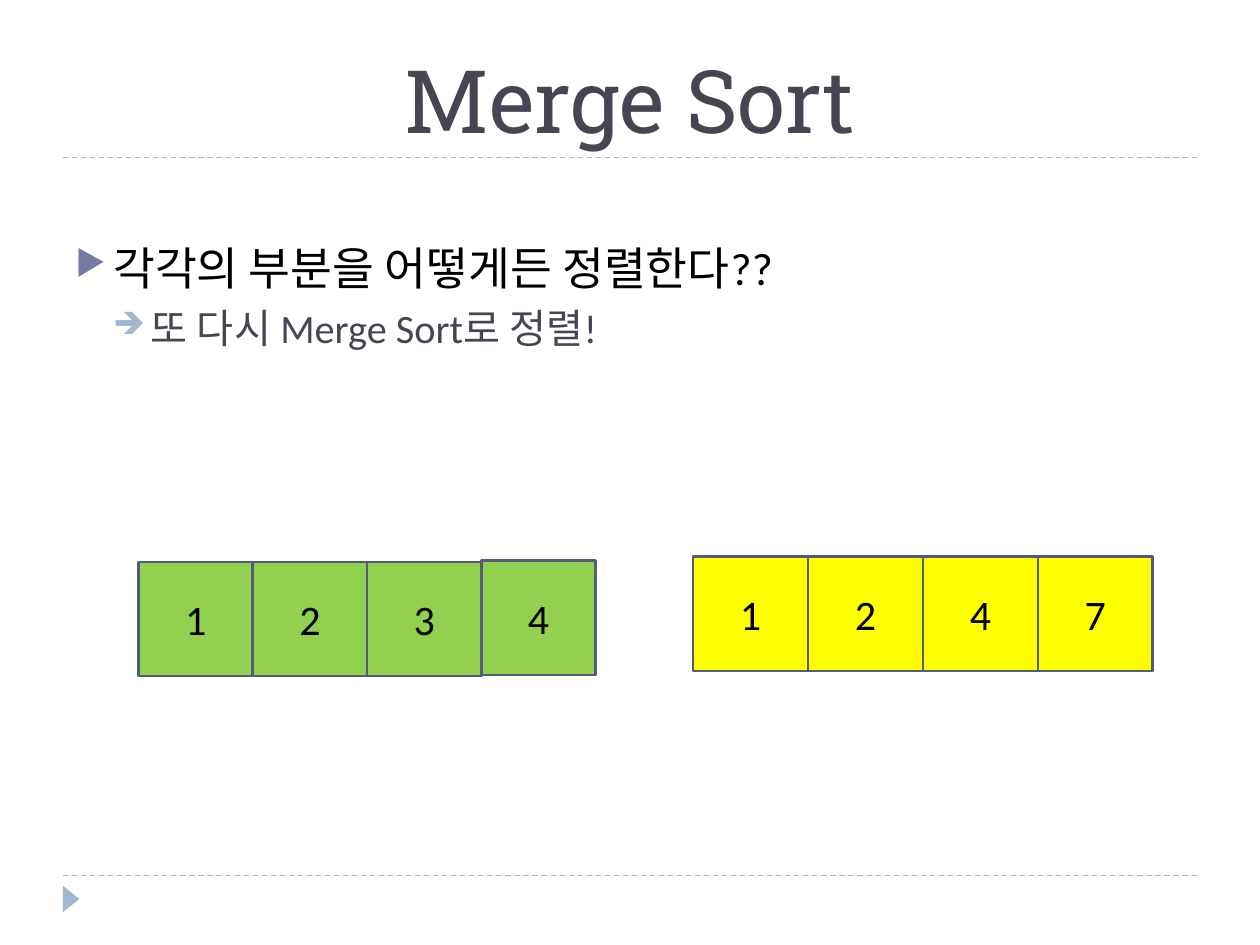
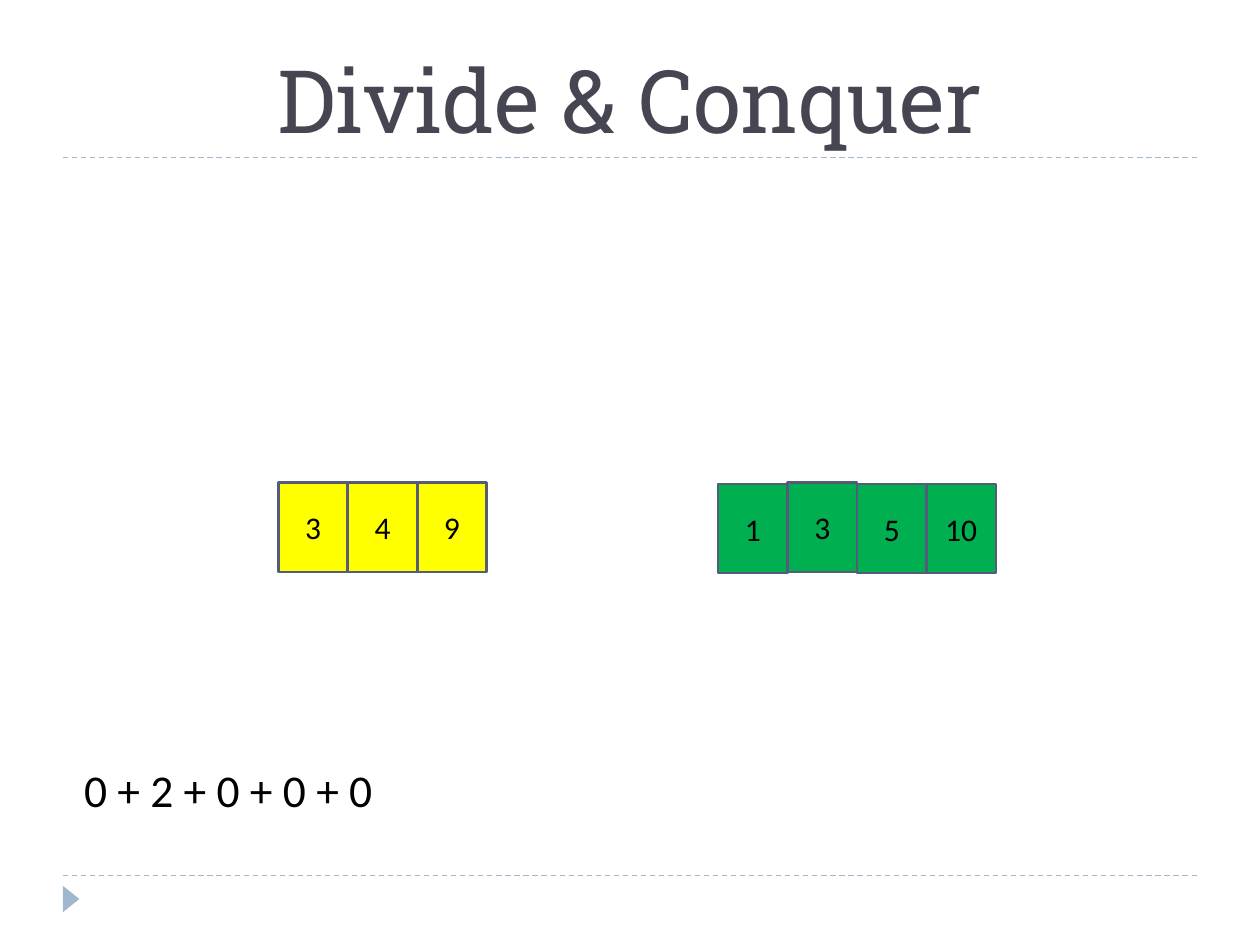
from lxml import etree
from pptx import Presentation
from pptx.dml.color import RGBColor
from pptx.enum.dml import MSO_LINE_DASH_STYLE as DASH
from pptx.enum.shapes import MSO_CONNECTOR as CONNECTOR, MSO_SHAPE as SHAPE
from pptx.enum.text import MSO_ANCHOR as ANCHOR, PP_ALIGN as ALIGN
from pptx.oxml.ns import qn
from pptx.util import Pt

COLORS = {
    "title": "464653", "text": "000000", "rule": "9FB8CD", "bullet": "727CA3",
    "outline": "545C79", "lime": "92D050", "yellow": "FFFF00", "green": "00B050",
}
TITLE_FONT, BODY_FONT = "Roboto Slab", "Calibri"
MARGIN, CONTENT_WIDTH = 36, 648
RULE_TOPS = (90, 500.4)


def rgb(name):
    return RGBColor.from_string(COLORS[name])


class Deck:
    def __init__(self):
        self.prs = Presentation()
        self.prs.slide_width, self.prs.slide_height = Pt(720), Pt(540)
        self.s = None

    def slide(self, title):
        self.s = self.prs.slides.add_slide(self.prs.slide_layouts[5])
        for top in RULE_TOPS:
            self.rule(top)
        self.corner_marker()
        sp = self.s.shapes.title
        sp.left, sp.top = Pt(MARGIN), Pt(12.2)
        sp.width, sp.height = Pt(CONTENT_WIDTH), Pt(77.8)
        tf = sp.text_frame
        tf.text = title
        tf.vertical_anchor = ANCHOR.BOTTOM
        self.style(tf.paragraphs[0], 50, "title", TITLE_FONT, ALIGN.CENTER)

    def style(self, p, size, color="text", font=BODY_FONT, align=ALIGN.LEFT):
        p.alignment = align
        for r in p.runs:
            r.font.name, r.font.size = font, Pt(size)
            r.font.color.rgb = rgb(color)

    def rule(self, top):
        line = self.s.shapes.add_connector(
            CONNECTOR.STRAIGHT, Pt(MARGIN), Pt(top), Pt(MARGIN + CONTENT_WIDTH), Pt(top))
        line.line.color.rgb = rgb("rule")
        line.line.width = Pt(0.75)
        line.line.dash_style = DASH.DASH
        etree.SubElement(line._element.spPr, qn("a:effectLst"))

    def shape(self, kind, left, top, width, height, fill):
        sp = self.s.shapes.add_shape(kind, Pt(left), Pt(top), Pt(width), Pt(height))
        sp.shadow.inherit = False
        sp.fill.solid()
        sp.fill.fore_color.rgb = rgb(fill)
        return sp

    def corner_marker(self):
        sp = self.shape(SHAPE.ISOSCELES_TRIANGLE, 33.1, 509, 15.1, 9.4, "rule")
        sp.rotation = 90
        sp.line.fill.background()

    def array(self, values, left, top, pitch, height, fill, size, raised=None):
        """Draw a row of touching cells; the cell at index raised sits slightly higher."""
        for i, value in enumerate(values):
            cell_top = top - 0.7 if i == raised else top
            sp = self.shape(SHAPE.RECTANGLE, left + i * pitch, cell_top, pitch, height, fill)
            sp.line.color.rgb = rgb("outline")
            sp.line.width = Pt(1.5)
            tf = sp.text_frame
            tf.text = str(value)
            tf.vertical_anchor = ANCHOR.MIDDLE
            self.style(tf.paragraphs[0], size, align=ALIGN.CENTER)

    def text(self, content, left, top, width, height, size):
        tf = self.s.shapes.add_textbox(Pt(left), Pt(top), Pt(width), Pt(height)).text_frame
        tf.word_wrap = True
        tf.text = content
        self.style(tf.paragraphs[0], size)
        return tf

    def bullet(self, p, char, color, indent):
        pPr = p._p.get_or_add_pPr()
        pPr.set("marL", str(Pt(indent)))
        pPr.set("indent", str(-Pt(21.6)))
        clr = etree.SubElement(pPr, qn("a:buClr"))
        etree.SubElement(clr, qn("a:srgbClr"), val=COLORS[color])
        etree.SubElement(pPr, qn("a:buSzPct"), val="76000")
        etree.SubElement(pPr, qn("a:buChar"), char=char)

    def point(self, content, detail, top):
        """Write a bulleted statement with one indented detail below it."""
        tf = self.text(content, MARGIN, top, CONTENT_WIDTH, 76, 26)
        self.bullet(tf.paragraphs[0], "▶", "bullet", 21.6)
        p = tf.add_paragraph()
        p.text = detail
        p.level = 1
        p.space_before = Pt(5)
        self.bullet(p, "➔", "rule", 43.2)
        self.style(p, 23, "title")


def main():
    deck = Deck()

    deck.slide("Merge Sort")
    deck.point("각각의 부분을 어떻게든 정렬한다??", "또 다시 Merge Sort로 정렬!", 133.5)
    deck.array([1, 2, 3, 4], 79.2, 321.1, 65.3, 65.3, "lime", 24, raised=3)
    deck.array([1, 2, 4, 7], 396, 318.2, 65.7, 65.3, "yellow", 24)

    deck.slide("Divide & Conquer")
    deck.array([3, 4, 9], 159, 275.8, 39.7, 51, "yellow", 18)
    deck.array([1, 3, 5, 10], 410.3, 276.5, 39.7, 51, "green", 18, raised=1)
    deck.text("0 + 2 + 0 + 0 + 0", 41, 432, 300, 39, 26)

    deck.prs.save("out.pptx")


if __name__ == "__main__":
    main()
